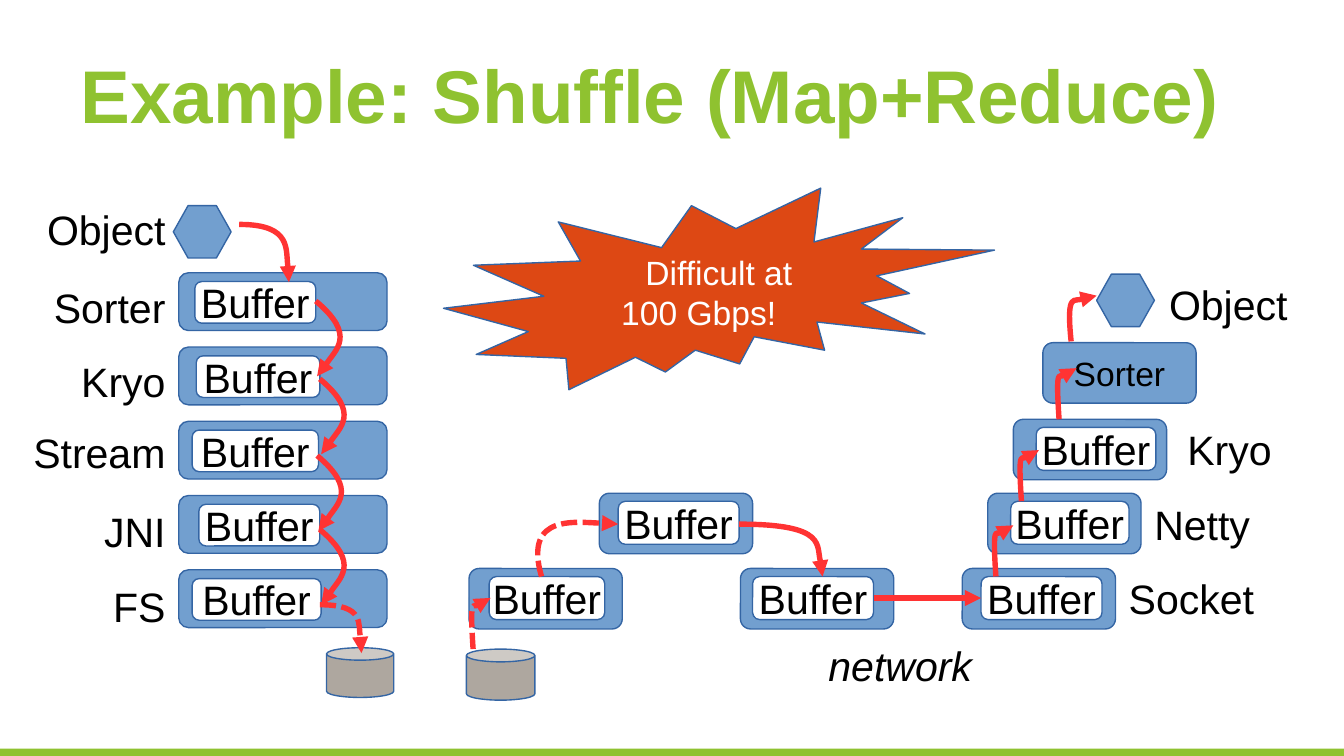
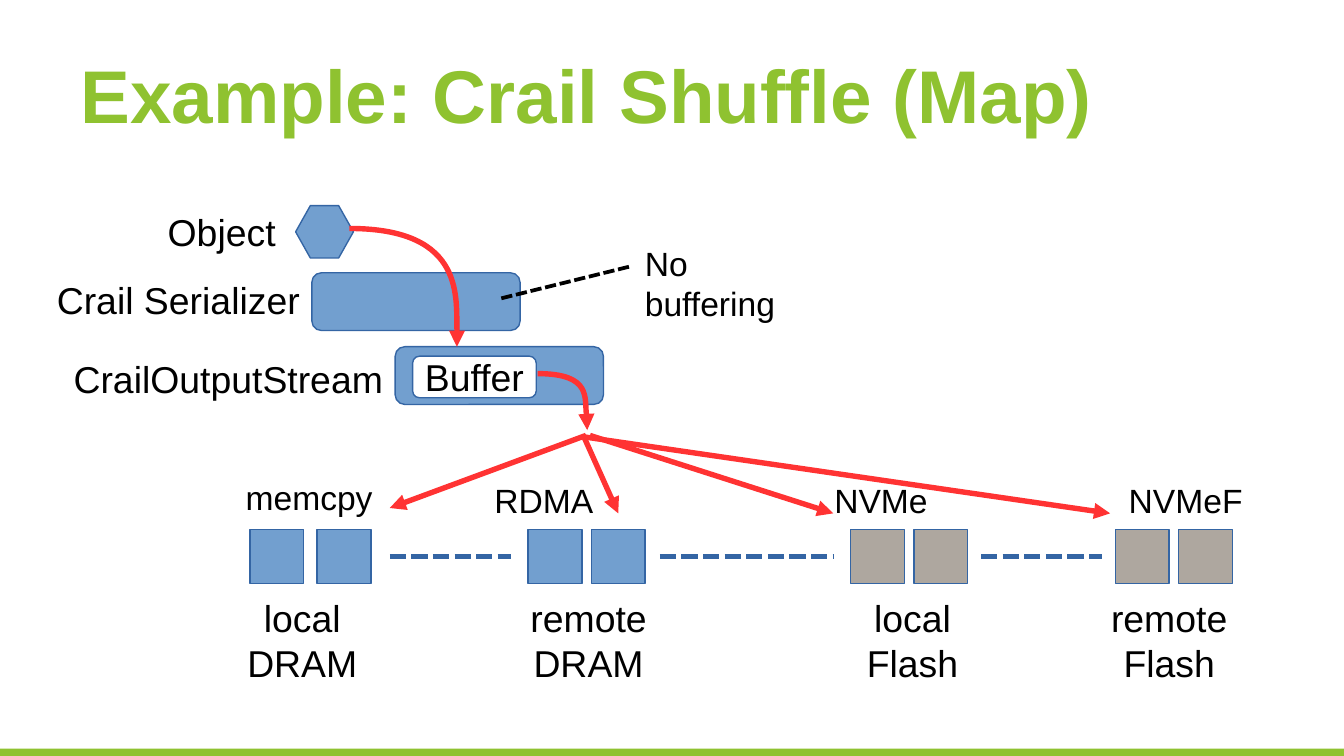
from lxml import etree
from pptx import Presentation
from pptx.dml.color import RGBColor
from pptx.enum.dml import MSO_LINE
from pptx.enum.shapes import MSO_CONNECTOR, MSO_SHAPE
from pptx.enum.text import MSO_ANCHOR, PP_ALIGN
from pptx.oxml.ns import qn
from pptx.util import Cm, Pt

GREEN = RGBColor(0x8F, 0xC2, 0x30)
BLUE = RGBColor(0x72, 0x9F, 0xCF)
DARK_BLUE = RGBColor(0x34, 0x65, 0xA4)
GREY = RGBColor(0xAE, 0xA7, 0x9F)
RED = RGBColor(0xFF, 0x33, 0x33)
ORANGE = RGBColor(0xDD, 0x48, 0x14)
WHITE = RGBColor(0xFF, 0xFF, 0xFF)
BLACK = RGBColor(0, 0, 0)

LEFT, CENTER, RIGHT = PP_ALIGN.LEFT, PP_ALIGN.CENTER, PP_ALIGN.RIGHT
MIDDLE = MSO_ANCHOR.MIDDLE
RECTANGLE, ROUNDED = MSO_SHAPE.RECTANGLE, MSO_SHAPE.ROUNDED_RECTANGLE
HEXAGON, CAN, BURST = MSO_SHAPE.HEXAGON, MSO_SHAPE.CAN, MSO_SHAPE.EXPLOSION2
DASHED = MSO_LINE.SQUARE_DOT
STRAIGHT = MSO_CONNECTOR.STRAIGHT

FONT = "Arial"
STROKE = 2.89
SIDE_LEFT, SIDE_RIGHT = 1, 3

# Offsets of control point and end point from the start of a curve
LOOP = ((0.31, 0.26), (0.01, 0.56))
CLIMB = ((-0.03, -0.44), (0.13, -0.38))


def inches(*values):
    """Turn grid values in inches into lengths."""
    return [Cm(value * 2.54) for value in values]


def write(shape, text, size=22, color=BLACK, bold=False, italic=False,
          align=LEFT, anchor=None, wrap=True, first_indent=0):
    frame = shape.text_frame
    frame.word_wrap = wrap
    frame.text = text
    if anchor is not None:
        frame.vertical_anchor = anchor
    for paragraph in frame.paragraphs:
        paragraph.alignment = align
        font = paragraph.runs[0].font
        font.name, font.size = FONT, Pt(size)
        font.bold, font.italic = bold, italic
        font.color.rgb = color
    if first_indent:
        properties = frame.paragraphs[0]._p.get_or_add_pPr()
        properties.set("marL", str(inches(first_indent)[0]))


class Deck:
    """Style of the presentation and the slide being filled."""

    def __init__(self):
        self.presentation = Presentation()
        self.presentation.slide_width, self.presentation.slide_height = inches(10, 5.625)
        self.slide = None

    def new_slide(self, title):
        layout = self.presentation.slide_layouts[5]
        first = self.slide is None
        self.slide = self.presentation.slides.add_slide(layout)
        if first:  # the green band belongs to the master
            band = self.shape(RECTANGLE, 0, 5.57, 10, 0.06, GREEN)
            band.line.fill.background()
            layout.slide_master.shapes.element.insert(2, band._element)
        holder = self.slide.shapes.title
        holder.left, holder.top, holder.width, holder.height = inches(0.5, 0.23, 9, 0.94)
        write(holder, title, size=40, color=GREEN, bold=True, anchor=MIDDLE)

    def shape(self, kind, left, top, width, height, fill=BLUE):
        shape = self.slide.shapes.add_shape(kind, *inches(left, top, width, height))
        shape.shadow.inherit = False
        shape.fill.solid()
        shape.fill.fore_color.rgb = fill
        shape.line.color.rgb = DARK_BLUE
        shape.line.width = Pt(0)
        return shape

    def hexagon(self, left, top):
        self.shape(HEXAGON, left, top, 0.43, 0.39).adjustments[0] = 0.281

    def box(self, left, top, width, height):
        return self.shape(ROUNDED, left, top, width, height)

    def buffer(self, left, top, width, height=0.32, size=22):
        shape = self.shape(ROUNDED, left, top, width, height, WHITE)
        write(shape, "Buffer", size=size, align=CENTER, anchor=MIDDLE, wrap=False)
        return shape

    def label(self, text, left, top, width, height=0.44, **text_format):
        box = self.slide.shapes.add_textbox(*inches(left, top, width, height))
        write(box, text, **text_format)

    def style_line(self, shape, color, width, dashed, arrow):
        line = shape.line
        line.color.rgb, line.width = color, Pt(width)
        if dashed:
            line.dash_style = DASHED
        if arrow:
            etree.SubElement(line._get_or_add_ln(), qn("a:tailEnd"), type="triangle")

    def line(self, start, end, color=RED, width=STROKE, dashed=False, arrow=True):
        connector = self.slide.shapes.add_connector(STRAIGHT, *inches(*start, *end))
        self.style_line(connector, color, width, dashed, arrow)
        etree.SubElement(connector._element.spPr, qn("a:effectLst"))
        return connector

    def curve(self, start, control, end, dashed=False):
        """Draw a curved arrow; control and end are offsets from start."""
        x, y = inches(*start)
        (control_x, control_y), (end_x, end_y) = inches(*control), inches(*end)

        # Points along the curve give the outline its true extent
        points = []
        for step in range(1, 21):
            t = step / 20
            pull = 3 * t * (1 - t) ** 2
            reach = 3 * t ** 2 * (1 - t) + t ** 3
            points.append((round(x + pull * control_x + reach * end_x),
                           round(y + pull * control_y + reach * end_y)))
        builder = self.slide.shapes.build_freeform(x, y)
        builder.add_line_segments(points, close=False)
        shape = builder.convert_to_shape()

        # One cubic segment takes the place of the points
        outline = shape._element.find(".//" + qn("a:path"))
        for segment in outline.findall(qn("a:lnTo")):
            outline.remove(segment)
        cubic = etree.SubElement(outline, qn("a:cubicBezTo"))
        for dx, dy in ((control_x, control_y), (end_x, end_y), (end_x, end_y)):
            etree.SubElement(cubic, qn("a:pt"), x=str(x + dx - shape.left),
                             y=str(y + dy - shape.top))
        shape.shadow.inherit = False
        shape.fill.background()
        self.style_line(shape, RED, STROKE, dashed, True)


def build_shuffle(deck):
    deck.new_slide("Example: Shuffle (Map+Reduce)")

    # Map side: layers from object to file system
    deck.hexagon(1.29, 1.53)
    for row, (left, width) in enumerate(
            [(1.45, 0.9), (1.46, 0.92), (1.43, 0.94), (1.48, 0.9), (1.43, 0.96)]):
        top = 2.03 + 0.5525 * row
        deck.box(1.33, top, 1.55, 0.43)
        deck.buffer(left, top + 0.065, width, 0.31)
    for text, left, top in [("Object", 0.1, 1.47), ("Sorter", 0.13, 2.05),
                            ("Kryo", 0, 2.6), ("Stream", 0.1, 3.13),
                            ("JNI", 0.5, 3.72), ("FS", 0.3, 4.28)]:
        deck.label(text, left, top, 1.33 - left, align=RIGHT)

    # Disks
    deck.shape(CAN, 2.43, 4.82, 0.5, 0.37, GREY)
    deck.shape(CAN, 3.47, 4.83, 0.51, 0.38, GREY)

    # Network and reduce side: box and buffer on each step
    buffers = []
    for box_left, top, left, width in [
            (4.46, 3.67, 4.6, 0.9), (3.49, 4.23, 3.64, 0.86),
            (5.51, 4.23, 5.6, 0.9), (7.16, 4.23, 7.3, 0.9),
            (7.35, 3.67, 7.52, 0.88), (7.54, 3.12, 7.71, 0.89)]:
        deck.box(box_left, top, 1.14, 0.45)
        buffers.append(deck.buffer(left, top + 0.06, width))
    sorter = deck.box(7.76, 2.55, 1.14, 0.45)
    write(sorter, "Sorter", size=18, align=CENTER, anchor=MIDDLE, wrap=False)
    deck.hexagon(8.16, 2.04)

    deck.label("Object", 8.6, 2.03, 1.2)
    deck.label("Kryo", 8.68, 3.11, 0.88, align=RIGHT)
    deck.label("Netty", 8.49, 3.67, 1.01)
    deck.label("Socket", 8.3, 4.22, 1.3)
    deck.label("network", 5.74, 4.72, 1.59, italic=True, align=RIGHT)

    # Data flow
    deck.curve((1.78, 1.67), (0.4, 0), (0.37, 0.43))
    for start in [(2.35, 2.24), (2.38, 2.82), (2.36, 3.39), (2.38, 3.94)]:
        deck.curve(start, *LOOP)
    deck.curve((2.38, 4.5), (0.34, 0), (0.31, 0.36), dashed=True)
    deck.curve((3.52, 4.83), *CLIMB, dashed=True)
    deck.curve((4.03, 4.29), (-0.14, -0.48), (0.57, -0.39), dashed=True)
    deck.curve((5.5, 3.9), (0.67, 0), (0.62, 0.39))
    network = deck.line((6.5, 4.45), (7.3, 4.45))
    network.begin_connect(buffers[2], SIDE_RIGHT)
    network.end_connect(buffers[3], SIDE_LEFT)
    for start in [(7.41, 4.29), (7.6, 3.73), (7.88, 3.12)]:
        deck.curve(start, *CLIMB)
    deck.curve((7.97, 2.54), (-0.04, -0.39), (0.19, -0.34))

    # Callout
    burst = deck.shape(BURST, 3.3, 1.4, 4.1, 1.5, ORANGE)
    write(burst, "Difficult at\n100 Gbps!", size=18, color=WHITE, align=CENTER,
          anchor=MIDDLE, wrap=False, first_indent=0.3)


def build_crail(deck):
    deck.new_slide("Example: Crail Shuffle (Map)")

    # Layers
    deck.hexagon(2.2, 1.53)
    deck.box(2.32, 2.03, 1.55, 0.43)
    deck.box(2.94, 2.58, 1.55, 0.43)
    deck.buffer(3.07, 2.65, 0.92, 0.31, size=20)
    for text, left, top, width in [("Object", 0.94, 1.51, 1.21),
                                   ("Crail Serializer", 0.04, 2.01, 2.29),
                                   ("CrailOutputStream", 0.14, 2.6, 2.81)]:
        deck.label(text, left, top, width, size=20, align=RIGHT)
    deck.curve((2.6, 1.7), (0.88, 0), (0.8, 0.88))
    deck.curve((4, 2.78), (0.41, 0), (0.37, 0.42))

    # Remark
    deck.line((3.73, 2.22), (4.7, 1.98), BLACK, 0, dashed=True, arrow=False)
    deck.label("No buffering", 4.7, 1.76, 1.3, 0.66, size=18)

    # Storage tiers: pair of blocks, name below, access method above
    for lefts, color, name, name_left, method, method_left, method_top in [
            ((1.86, 2.36), BLUE, "local\nDRAM", 1.55, "memcpy", 1.73, 3.5),
            ((3.93, 4.4), BLUE, "remote DRAM", 3.68, "RDMA", 3.58, 3.52),
            ((6.33, 6.8), GREY, "local Flash", 6.09, "NVMe", 6.11, 3.52),
            ((8.3, 8.77), GREY, "remote Flash", 8, "NVMeF", 8.3, 3.52)]:
        for left in lefts:
            deck.shape(RECTANGLE, left, 3.94, 0.4, 0.4, color)
        deck.label(name, name_left, 4.38, 1.4, 0.73, size=20, align=CENTER)
        deck.label(method, method_left, method_top, 1.3, 0.38, size=18)
    for left, right in [(2.9, 3.8), (4.91, 6.2), (7.3, 8.2)]:
        deck.line((left, 4.14), (right, 4.14), DARK_BLUE, dashed=True, arrow=False)

    # Fan-out to the tiers
    for start, end in [((4.36, 3.24), (2.9, 3.78)), ((4.34, 3.24), (4.6, 3.82)),
                       ((4.39, 3.24), (6.2, 3.82)), ((4.34, 3.25), (8.26, 3.82))]:
        deck.line(start, end)


def main():
    deck = Deck()
    build_shuffle(deck)
    build_crail(deck)
    deck.presentation.save("out.pptx")


if __name__ == "__main__":
    main()
